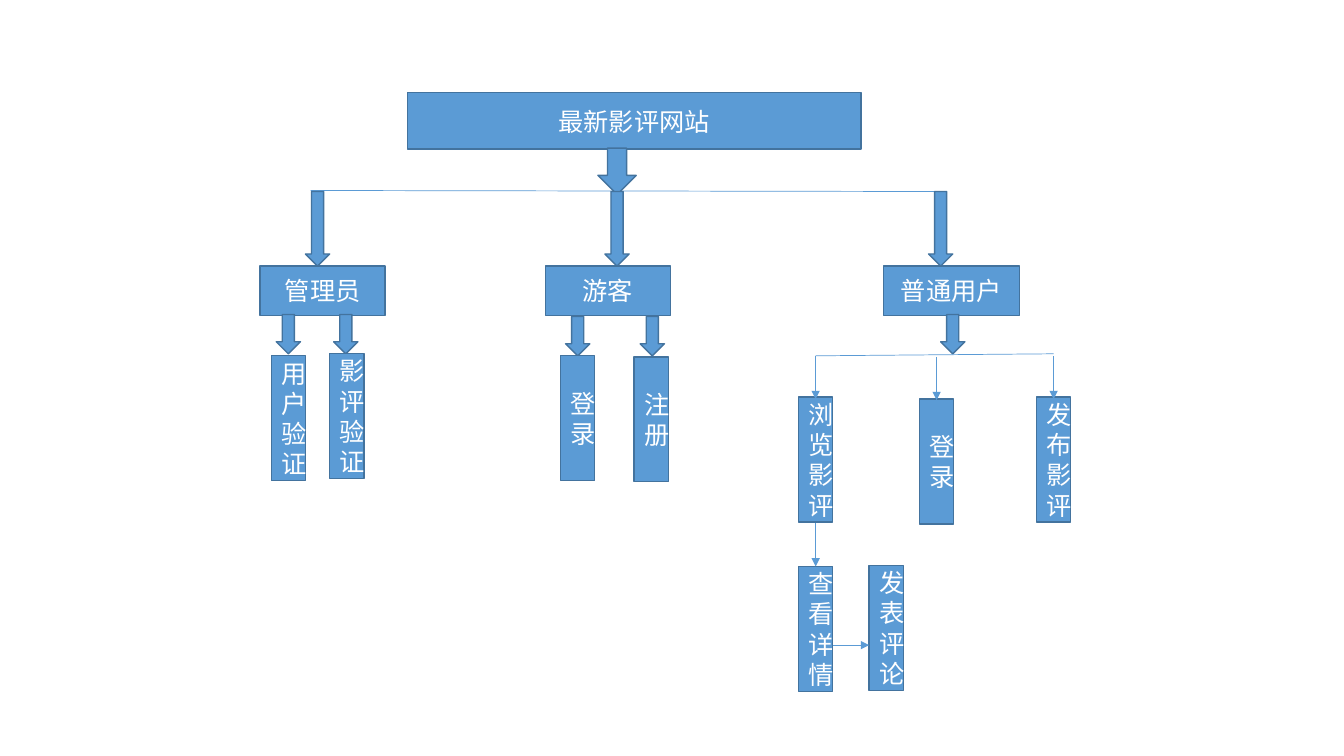
import pptx
import pptx.util
import pptx.dml.color
import pptx.enum.shapes
import pptx.enum.text
import pptx.oxml
import pptx.oxml.ns

Inches = pptx.util.Inches
Pt = pptx.util.Pt
Kind = pptx.enum.shapes.MSO_SHAPE
FILL, EDGE, WHITE = "5B9BD5", "43739E", "FFFFFF"
color = pptx.dml.color.RGBColor.from_string

deck = pptx.Presentation()
deck.slide_width, deck.slide_height = Inches(13.33), Inches(7.5)
slide = deck.slides.add_slide(deck.slide_layouts[6])


def block(kind, left, top, width, height, text=""):
    shape = slide.shapes.add_shape(kind, *map(Inches, (left, top, width, height)))
    shape.shadow.inherit = False
    shape.fill.solid()
    shape.fill.fore_color.rgb = color(FILL)
    shape.line.color.rgb = color(EDGE)
    shape.line.width = Pt(1)
    if text:
        frame = shape.text_frame
        frame.word_wrap = True
        frame.vertical_anchor = pptx.enum.text.MSO_ANCHOR.MIDDLE
        para = frame.paragraphs[0]
        para.alignment = pptx.enum.text.PP_ALIGN.CENTER
        run = para.add_run()
        run.text = text
        style = {"size": Pt(18), "name": "Calibri"}
        for key, value in style.items():
            setattr(run.font, key, value)
        run.font.color.rgb = color(WHITE)


def link(x1, y1, x2, y2, arrow=True):
    line = slide.shapes.add_connector(
        pptx.enum.shapes.MSO_CONNECTOR.STRAIGHT, *map(Inches, (x1, y1, x2, y2)))
    line.line.color.rgb = color(FILL)
    line.line.width = Pt(0.5)
    if arrow:
        tail = pptx.oxml.parse_xml(
            '<a:tailEnd %s type="triangle"/>' % pptx.oxml.ns.nsdecls("a"))
        line.line._get_or_add_ln().append(tail)
    props = line._element.spPr
    props.append(pptx.oxml.parse_xml(
        "<a:effectLst %s/>" % pptx.oxml.ns.nsdecls("a")))


# Site title and the branch below it
block(Kind.RECTANGLE, 4.04, 0.92, 4.5, 0.56, "最新影评网站")
link(3.08, 1.89, 9.33, 1.9, arrow=False)
block(Kind.DOWN_ARROW, 5.93, 1.47, 0.38, 0.46)

# Roles, each with its arrow: arrow left, box left, box width
roles = [
    ("管理员", 3.03, 2.58, 1.24),
    ("游客", 6, 5.41, 1.24),
    ("普通用户", 9.21, 8.76, 1.35),
]
for name, tip, left, width in roles:
    block(Kind.DOWN_ARROW, tip, 1.9, 0.24, 0.74)
    block(Kind.RECTANGLE, left, 2.64, width, 0.49, name)

# Short arrows under the roles
for left, top in [(2.74, 3.12), (3.31, 3.12), (5.61, 3.14),
                  (6.35, 3.14), (9.33, 3.12)]:
    block(Kind.DOWN_ARROW, left, top, 0.24, 0.39)

# Upright boxes for the functions
tasks = [
    ("用户验证", 2.69, 3.53),
    ("影评验证", 3.27, 3.51),
    ("登录", 5.56, 3.53),
    ("注册", 6.29, 3.54),
    ("浏览影评", 7.92, 3.94),
    ("登录", 9.12, 3.96),
    ("发布影评", 10.28, 3.94),
    ("查看详情", 7.92, 5.62),
    ("发表评论", 8.62, 5.61),
]
for name, left, top in tasks:
    block(Kind.RECTANGLE, left, top, 0.34, 1.24, name)

# Branch and thin arrows of the common user
link(8.09, 3.53, 10.45, 3.51, arrow=False)
for x, y in [(8.09, 3.53), (9.29, 3.54), (10.45, 3.53), (8.09, 5.19)]:
    link(x, y, x, y + 0.43)
link(8.26, 6.4, 8.62, 6.4)

deck.save("out.pptx")
